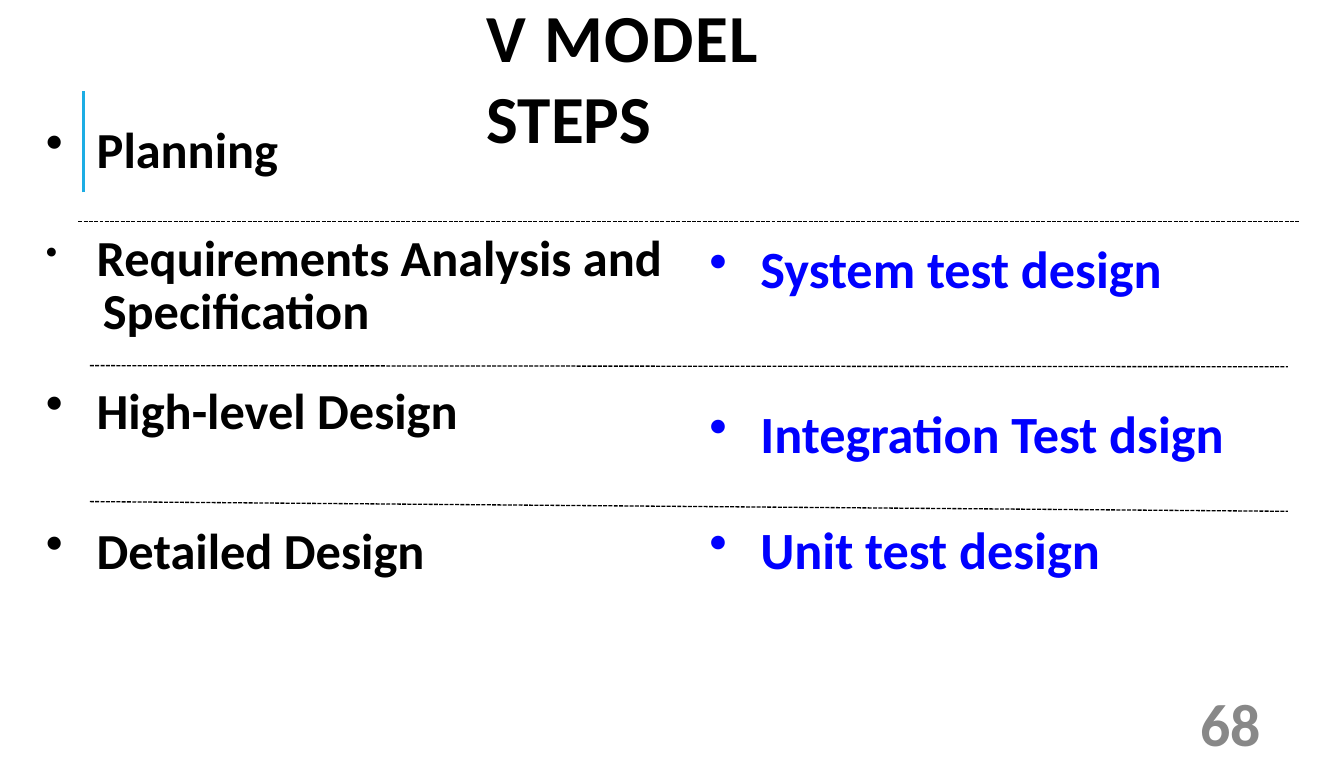
from lxml.etree import SubElement
from pptx import Presentation
from pptx.dml.color import RGBColor
from pptx.enum.dml import MSO_LINE
from pptx.enum.shapes import MSO_CONNECTOR
from pptx.enum.text import MSO_ANCHOR
from pptx.oxml.ns import qn
from pptx.util import Pt

BLACK = RGBColor(0x00, 0x00, 0x00)
BLUE = RGBColor(0x00, 0x00, 0xFF)
GRAY = RGBColor(0x88, 0x88, 0x88)
ACCENT = RGBColor(0x1C, 0xAD, 0xE4)

TEXT_INDENT = 28
BULLET_INDENT = 0.7

# Each step: text, space before, exact line spacing, left margin, bullet percent
DEVELOPMENT_STEPS = [
    ("Planning", 0, None, TEXT_INDENT, 100),
    ("\tRequirements Analysis and\v Specification", 29.3, 28.6, 25.2, 67),
    ("High-level Design", 20.8, None, TEXT_INDENT, 100),
    ("Detailed Design", 42.9, None, TEXT_INDENT, 100),
]
TEST_STEPS = [
    ("System test design", 0, None, TEXT_INDENT, 100),
    ("Integration Test dsign", 55, None, TEXT_INDENT, 100),
    ("Unit test design", 28.5, None, TEXT_INDENT, 100),
]
DIVIDERS = [
    (42, 118.7, 696, 118.7),
    (48.2, 195.8, 690, 196.4),
    (48.2, 268.6, 690, 273.8),
]


def add_text_frame(slide, left, top, width, height, anchor=MSO_ANCHOR.TOP):
    box = slide.shapes.add_textbox(Pt(left), Pt(top), Pt(width), Pt(height))
    frame = box.text_frame
    frame.word_wrap = True
    frame.vertical_anchor = anchor
    frame.margin_left = frame.margin_right = Pt(0)
    frame.margin_top = frame.margin_bottom = Pt(0)
    return frame


def set_font(paragraph, size, color):
    font = paragraph.font
    font.name = "Calibri"
    font.size = Pt(size)
    font.bold = True
    font.color.rgb = color


def add_bullet(paragraph, left_margin, percent):
    properties = paragraph._p.get_or_add_pPr()
    properties.set("marL", str(Pt(left_margin)))
    properties.set("indent", str(Pt(BULLET_INDENT - left_margin)))
    SubElement(properties, qn("a:buSzPct")).set("val", str(percent * 1000))
    SubElement(properties, qn("a:buChar")).set("char", "•")
    tab = SubElement(SubElement(properties, qn("a:tabLst")), qn("a:tab"))
    tab.set("pos", str(Pt(TEXT_INDENT)))
    tab.set("algn", "l")


def add_steps(slide, left, top, width, height, steps, size, color):
    frame = add_text_frame(slide, left, top, width, height)
    frame.margin_top = Pt(1.2)
    for index, step in enumerate(steps):
        text, space_before, line_spacing, left_margin, percent = step
        paragraph = frame.add_paragraph() if index else frame.paragraphs[0]
        paragraph.text = text
        add_bullet(paragraph, left_margin, percent)
        paragraph.space_before = Pt(space_before)
        if line_spacing:
            paragraph.line_spacing = Pt(line_spacing)
        set_font(paragraph, size, color)


def add_line(slide, ends, color, width, dash=None):
    line = slide.shapes.add_connector(
        MSO_CONNECTOR.STRAIGHT, *(Pt(value) for value in ends))
    line.line.color.rgb = color
    line.line.width = Pt(width)
    if dash:
        line.line.dash_style = dash
    SubElement(line._element.spPr, qn("a:effectLst"))


def add_title(slide):
    frame = add_text_frame(slide, 260.8, 18, 216.6, 45.4, MSO_ANCHOR.MIDDLE)
    paragraph = frame.paragraphs[0]
    spaced_run = paragraph.add_run()
    spaced_run.text = "V MODEL "
    spaced_run._r.get_or_add_rPr().set("spc", "80")
    paragraph.add_run().text = "STEPS"
    set_font(paragraph, 36, BLACK)


def add_page_number(slide):
    frame = add_text_frame(slide, 643, 382.3, 54.7, 16.6, MSO_ANCHOR.MIDDLE)
    paragraph = frame.paragraphs[0]
    paragraph.text = "68"
    paragraph.line_spacing = Pt(31.4)
    set_font(paragraph, 32, GRAY)


def main():
    presentation = Presentation()
    presentation.slide_width = Pt(720)
    presentation.slide_height = Pt(405.36)
    slide = presentation.slides.add_slide(presentation.slide_layouts[6])

    add_line(slide, (44.6, 103, 44.6, 49), ACCENT, 1.5)
    add_title(slide)
    add_page_number(slide)
    add_steps(slide, 23.8, 61.9, 332.6, 251.3, DEVELOPMENT_STEPS, 27, BLACK)
    add_steps(slide, 379.4, 125.3, 278.6, 187.9, TEST_STEPS, 28, BLUE)
    for ends in DIVIDERS:
        add_line(slide, ends, BLACK, 0.72, MSO_LINE.SQUARE_DOT)

    presentation.save("out.pptx")


if __name__ == "__main__":
    main()
